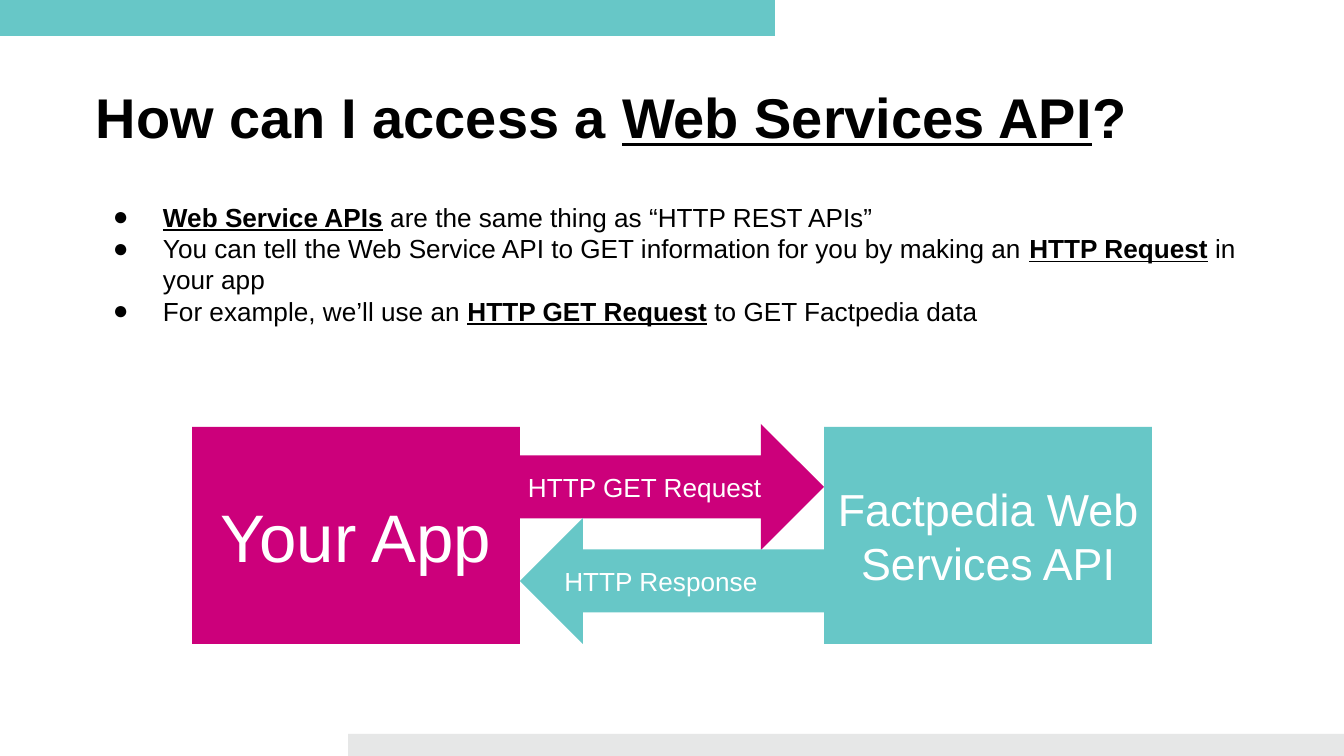
from pptx import Presentation
from pptx.dml.color import RGBColor
from pptx.enum.shapes import MSO_SHAPE as Shape
from pptx.enum.text import MSO_ANCHOR as Anchor, PP_ALIGN as Align
from pptx.oxml.ns import qn
from pptx.util import Pt
from lxml.etree import SubElement

PX = 914400 / 134.4
TEAL, MAGENTA, GRAY = "67C7C7", "CC007B", "E6E7E7"
BLACK, WHITE = "000000", "FFFFFF"


def add_block(kind, box, fill):
    shape = slide.shapes.add_shape(kind, *(round(length * PX) for length in box))
    shape.shadow.inherit = False
    shape.fill.solid()
    shape.fill.fore_color.rgb = RGBColor.from_string(fill)
    shape.line.fill.background()
    return shape


def write_text(shape, paragraphs, size, color, inset, anchor=Anchor.MIDDLE,
               align=Align.LEFT, bold=False):
    """Fill a shape with paragraphs of runs; odd runs are underlined and bold."""
    frame = shape.text_frame
    frame.word_wrap = True
    frame.vertical_anchor = anchor
    frame.margin_left = frame.margin_right = round(inset * PX)
    frame.margin_top = frame.margin_bottom = round(inset * PX)
    for number, texts in enumerate(paragraphs):
        paragraph = frame.add_paragraph() if number else frame.paragraphs[0]
        paragraph.alignment = align
        for index, text in enumerate(texts):
            if not text:
                continue
            run = paragraph.add_run()
            run.text = text
            font = run.font
            font.name, font.size = "Arial", Pt(size)
            font.color.rgb = RGBColor.from_string(color)
            font.underline = index % 2 == 1
            font.bold = bold or font.underline


presentation = Presentation()
presentation.slide_width = round(1344 * PX)
presentation.slide_height = round(756 * PX)
slide = presentation.slides.add_slide(presentation.slide_layouts[6])

add_block(Shape.RECTANGLE, (-13, -34, 788, 70), TEAL)
add_block(Shape.RECTANGLE, (348, 734, 1058, 70), GRAY)

title = slide.shapes.add_textbox(*(round(length * PX) for length in (93, 53, 1157, 126)))
write_text(title, [("How can I access a ", "Web Services API", "?")],
           30, BLACK, 3, bold=True)

points = slide.shapes.add_textbox(*(round(length * PX) for length in (93, 198, 1153, 214)))
write_text(points, [
    ("", "Web Service APIs", " are the same thing as “HTTP REST APIs”"),
    ("You can tell the Web Service API to GET information for you by making an ",
     "HTTP Request", " in your app"),
    ("For example, we’ll use an ", "HTTP GET Request", " to GET Factpedia data"),
], 14, BLACK, 3, anchor=Anchor.TOP)
for paragraph in points.text_frame.paragraphs:
    properties = paragraph._p.get_or_add_pPr()
    properties.set("marL", str(round(67 * PX)))
    properties.set("indent", str(round(-50 * PX)))
    bullet_color = SubElement(properties, qn("a:buClr"))
    SubElement(bullet_color, qn("a:srgbClr"), val=BLACK)
    SubElement(properties, qn("a:buFont"), typeface="Arial")
    SubElement(properties, qn("a:buChar"), char="●")

# Request and response between the two parties
for kind, box, fill, label, size, align, flipped in (
    (Shape.RECTANGLE, (192, 427, 328, 217), MAGENTA, "Your App", 36, Align.CENTER, False),
    (Shape.RIGHT_ARROW, (515, 424, 309, 126), MAGENTA, "HTTP GET Request", 14, Align.LEFT, False),
    (Shape.RECTANGLE, (824, 427, 328, 217), TEAL, "Factpedia Web Services API", 24,
     Align.CENTER, False),
    (Shape.RIGHT_ARROW, (520, 518, 309, 126), TEAL, "HTTP Response", 14, Align.LEFT, True),
):
    block = add_block(kind, box, fill)
    write_text(block, [(label,)], size, WHITE, 13, align=align)
    if flipped:
        block._element.spPr.find(qn("a:xfrm")).set("flipH", "1")

presentation.save("out.pptx")
